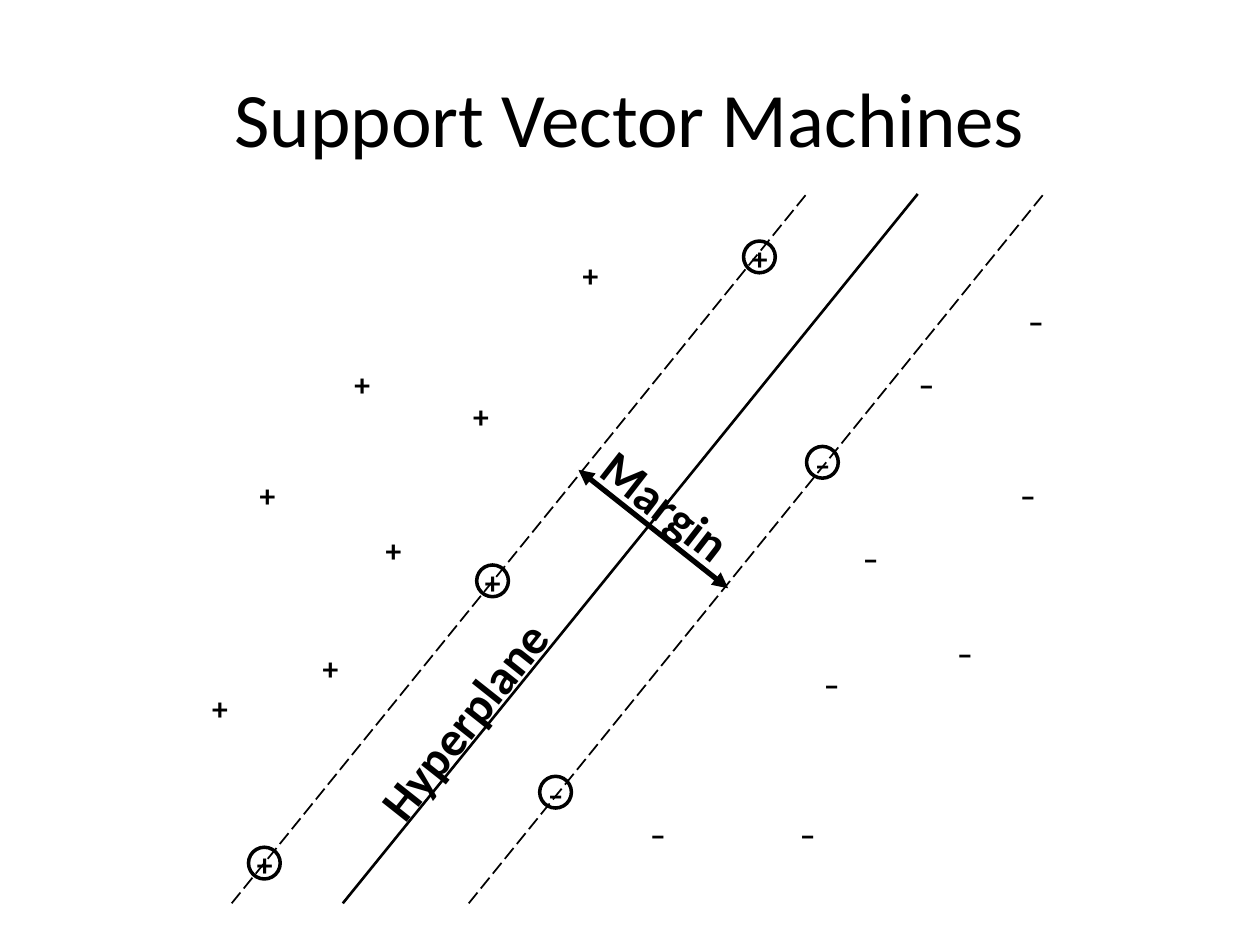
import dataclasses

import lxml.etree
import pptx
import pptx.dml.color
import pptx.enum.dml
import pptx.enum.shapes
import pptx.enum.text
import pptx.oxml.ns
import pptx.util

Cm = pptx.util.Cm


@dataclasses.dataclass(frozen=True)
class Theme:
    """Colours, font and type sizes of the slide."""
    ink: pptx.dml.color.RGBColor = pptx.dml.color.RGBColor(0, 0, 0)
    font: str = "Calibri"
    title: int = 44
    label: int = 28
    marker: int = 18


class Diagram:
    """Draws styled elements on the current slide."""

    def __init__(self, slide, theme):
        self.slide = slide
        self.theme = theme

    def text(self, words, left, top, width, height, size, bold=True, rotation=0, side=0, anchor="TOP"):
        box = self.slide.shapes.add_textbox(Cm(left), Cm(top), Cm(width), Cm(height))
        box.rotation = rotation
        frame_format = {
            "word_wrap": True,
            "margin_left": Cm(side),
            "margin_right": Cm(side),
            "vertical_anchor": pptx.enum.text.MSO_ANCHOR[anchor],
        }
        for name, value in frame_format.items():
            setattr(box.text_frame, name, value)
        para = box.text_frame.paragraphs[0]
        para.alignment = pptx.enum.text.PP_ALIGN.CENTER
        span = para.add_run()
        span.text = words
        font_format = {"name": self.theme.font, "size": pptx.util.Pt(size), "bold": bold}
        for name, value in font_format.items():
            setattr(span.font, name, value)
        span.font.color.rgb = self.theme.ink

    def marker(self, sign, left, top, width):
        self.text(sign, left, top, width, 1.02, self.theme.marker)

    def line(self, start, end, weight, dashed=False, arrows=False):
        line = self.slide.shapes.add_connector(
            pptx.enum.shapes.MSO_CONNECTOR.STRAIGHT, *map(Cm, start + end))
        line.line.color.rgb = self.theme.ink
        line.line.width = pptx.util.Pt(weight)
        if dashed:
            line.line.dash_style = pptx.enum.dml.MSO_LINE.LONG_DASH
        properties = line._element.spPr
        if arrows:
            outline = properties.find(pptx.oxml.ns.qn("a:ln"))
            for tag in ("a:headEnd", "a:tailEnd"):
                lxml.etree.SubElement(outline, pptx.oxml.ns.qn(tag), type="triangle")
        lxml.etree.SubElement(properties, pptx.oxml.ns.qn("a:effectLst"))

    def ring(self, left, top, diameter):
        ring = self.slide.shapes.add_shape(
            pptx.enum.shapes.MSO_SHAPE.OVAL, Cm(left), Cm(top), Cm(diameter), Cm(diameter))
        ring.shadow.inherit = False
        ring.fill.background()
        ring.line.color.rgb = self.theme.ink
        ring.line.width = pptx.util.Pt(2)


POSITIVES = [(6.91, 7.24), (4.04, 13.77), (9.3, 7.87), (5, 9.47),
             (7.54, 10.59), (11.51, 5.03), (6.27, 12.95)]
NEGATIVES = [(20.4, 5.97), (15.8, 16.31), (18.19, 7.24), (18.97, 12.65),
             (20.24, 9.47), (16.28, 13.28), (17.07, 10.74), (12.78, 16.31)]
SUPPORT_VECTORS = [("+", 9.45, 11.23), ("+", 14.83, 4.7), ("–", 10.72, 15.49),
                   ("–", 16.1, 8.84), ("+", 4.85, 16.92)]
BOUNDARIES = [(6.91, 1.5, False), (9.45, 1, True), (4.67, 1, True)]
BOUNDARY_RUN, BOUNDARY_TOP, BOUNDARY_BOTTOM = 11.59, 3.91, 18.21
NARROW, WIDE = 0.79, 0.97
RING_INSET, RING_DIAMETER = 0.16, 0.64


def main():
    deck = pptx.Presentation()
    deck.slide_width, deck.slide_height = Cm(25.4), Cm(19.05)
    theme = Theme()
    diagram = Diagram(deck.slides.add_slide(deck.slide_layouts[6]), theme)

    for left, top in POSITIVES:
        diagram.marker("+", left, top, NARROW)
    for left, top in NEGATIVES:
        diagram.marker("–", left, top, WIDE)
    for sign, left, top in SUPPORT_VECTORS:
        diagram.marker(sign, left, top, WIDE)

    for foot, weight, dashed in BOUNDARIES:
        diagram.line((foot, BOUNDARY_BOTTOM), (foot + BOUNDARY_RUN, BOUNDARY_TOP), weight, dashed)
    diagram.line((11.66, 9.47), (14.68, 11.86), 3, arrows=True)
    diagram.text("Margin", 11.79, 9.5, 3.5, 1.09, theme.label, rotation=37.9)
    diagram.text("Hyperplane", 5.66, 13.79, 7.37, 1.45, theme.label, rotation=308.4)

    for sign, left, top in SUPPORT_VECTORS:
        diagram.ring(left + RING_INSET, top + RING_INSET, RING_DIAMETER)
    diagram.text("Support Vector Machines", 1.27, 0.76, 22.86, 3.18, theme.title,
                 bold=False, side=0.25, anchor="MIDDLE")
    deck.save("out.pptx")


if __name__ == "__main__":
    main()
